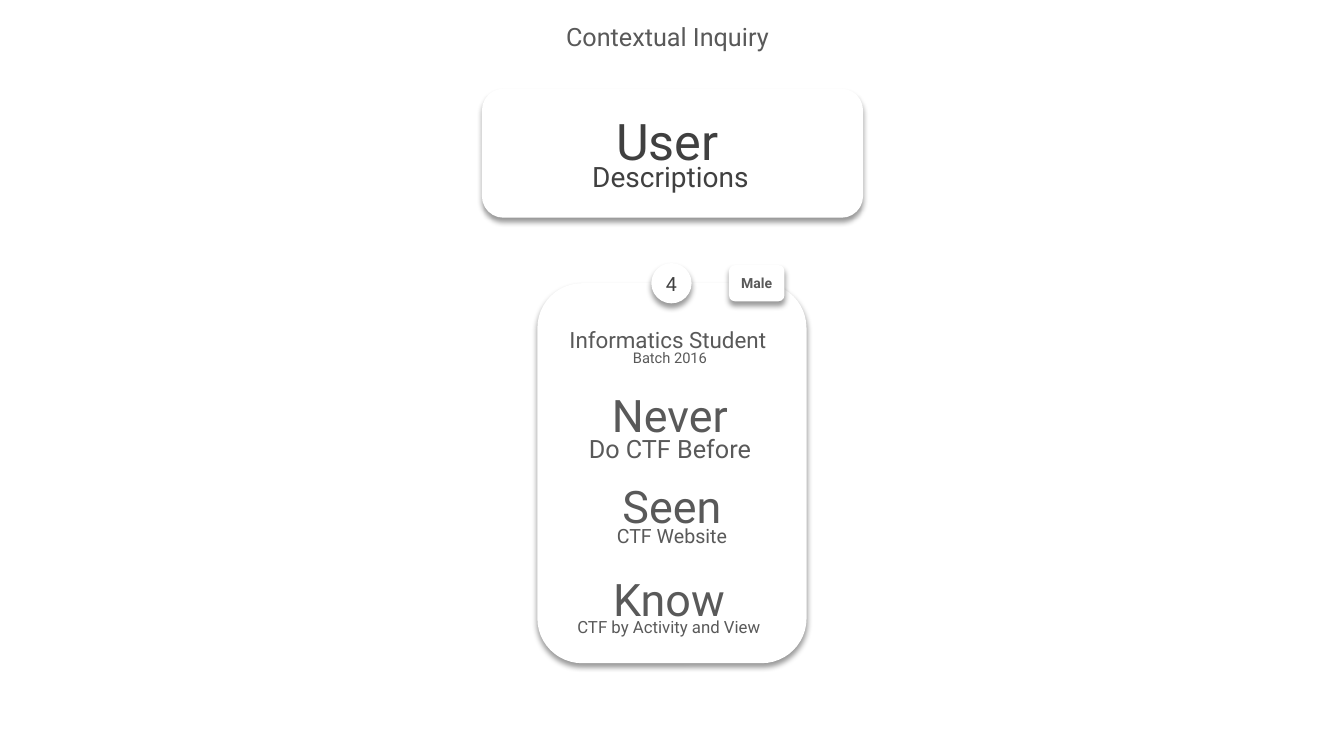
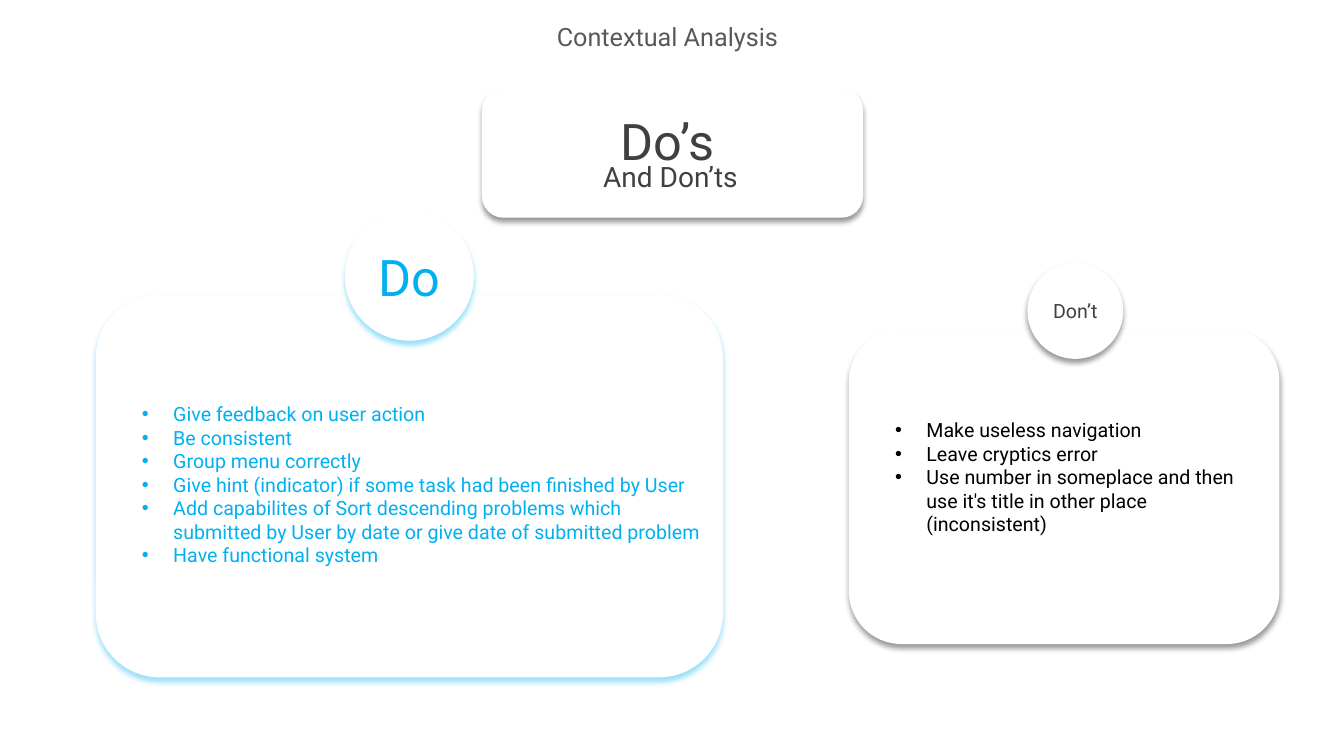
"""Build two slides on contextual inquiry and contextual analysis."""
from lxml import etree
from pptx import Presentation
from pptx.dml.color import RGBColor
from pptx.enum import shapes, text
from pptx.oxml import ns
from pptx.util import Inches, Pt

FONT = "Roboto"
WHITE = RGBColor(0xFF, 0xFF, 0xFF)
BLACK = RGBColor(0x00, 0x00, 0x00)
DARK = RGBColor(0x40, 0x40, 0x40)
GRAY = RGBColor(0x59, 0x59, 0x59)
BLUE = RGBColor(0x00, 0xB0, 0xF0)
ROUNDED = shapes.MSO_SHAPE.ROUNDED_RECTANGLE
CIRCLE = shapes.MSO_SHAPE.OVAL
CENTER = text.PP_ALIGN.CENTER
LEFT = text.PP_ALIGN.LEFT
BULLET_INDENT = Inches(0.31)


def style_paragraph(paragraph, size, color, align=CENTER, bold=False):
    paragraph.alignment = align
    font = paragraph.font
    font.name, font.size, font.bold = FONT, Pt(size), bold
    font.color.rgb = color


def add_shadow(shape, color):
    shape.shadow.inherit = False
    effects = shape.element.spPr.find(ns.qn("a:effectLst"))
    shadow = etree.SubElement(
        effects, ns.qn("a:outerShdw"), blurRad=str(Pt(4)), dist=str(Pt(3)),
        dir="5400000", algn="t", rotWithShape="0")
    tint = etree.SubElement(shadow, ns.qn("a:srgbClr"), val=str(color))
    etree.SubElement(tint, ns.qn("a:alpha"), val="40000")


def add_card(slide, box, kind=ROUNDED, shadow=BLACK):
    card = slide.shapes.add_shape(kind, *map(Inches, box))
    card.fill.solid()
    card.fill.fore_color.rgb = WHITE
    card.line.fill.background()
    add_shadow(card, shadow)
    return card


def add_badge(slide, box, label, size, color, kind=CIRCLE, shadow=BLACK, bold=False):
    frame = add_card(slide, box, kind, shadow).text_frame
    frame.word_wrap = False
    frame.vertical_anchor = text.MSO_ANCHOR.MIDDLE
    frame.text = label
    style_paragraph(frame.paragraphs[0], size, color, bold=bold)


def add_text_frame(slide, box):
    frame = slide.shapes.add_textbox(*map(Inches, box)).text_frame
    frame.word_wrap = True
    frame.auto_size = text.MSO_AUTO_SIZE.SHAPE_TO_FIT_TEXT
    return frame


def add_label(slide, box, label, size, color=GRAY, align=CENTER):
    frame = add_text_frame(slide, box)
    frame.text = label
    style_paragraph(frame.paragraphs[0], size, color, align)


def add_bullets(slide, box, items, color):
    frame = add_text_frame(slide, box)
    frame.text = "\n".join(items)
    for paragraph in frame.paragraphs:
        properties = paragraph._p.get_or_add_pPr()
        properties.set("marL", str(BULLET_INDENT))
        properties.set("indent", str(-BULLET_INDENT))
        etree.SubElement(properties, ns.qn("a:buFont"), typeface="Arial")
        etree.SubElement(properties, ns.qn("a:buChar"), char="•")
        style_paragraph(paragraph, 14, color, LEFT)


def add_titled_slide(deck, section, headline, subline):
    slide = deck.slides.add_slide(deck.slide_layouts[6])
    add_card(slide, (4.78, 0.88, 3.78, 1.28))
    add_label(slide, (4.96, 0.16, 3.32, 0.4), section, 18)
    add_label(slide, (4.73, 1.04, 3.78, 0.71), headline, 36, DARK)
    add_label(slide, (4.76, 1.53, 3.78, 0.44), subline, 20, DARK)
    return slide


def build_inquiry(deck):
    slide = add_titled_slide(deck, "Contextual Inquiry", "User", "Descriptions")
    add_card(slide, (5.33, 2.81, 2.67, 3.77))
    add_badge(slide, (6.46, 2.61, 0.4, 0.4), "4", 14, DARK)
    add_badge(slide, (7.23, 2.63, 0.55, 0.36), "Male", 10, GRAY, ROUNDED, bold=True)
    add_label(slide, (5.55, 3.19, 2.23, 0.37), "Informatics Student", 16, align=LEFT)
    add_label(slide, (5.53, 3.41, 2.23, 0.29), "Batch 2016", 10.5)
    findings = [
        (5.53, 3.8, "Never", "Do CTF Before", 18, 0.4),
        (5.55, 4.7, "Seen", "CTF Website", 14, 0.34),
        (5.52, 5.62, "Know", "CTF by Activity and View", 12, 0.3),
    ]
    for left, top, verb, detail, size, height in findings:
        add_label(slide, (left, top, 2.23, 0.64), verb, 32)
        add_label(slide, (left, top + 0.45, 2.23, height), detail, size)


def build_analysis(deck):
    slide = add_titled_slide(deck, "Contextual Analysis", "Do’s", "And Don’ts")
    add_card(slide, (8.42, 3.26, 4.27, 3.13))
    add_card(slide, (0.95, 2.92, 6.22, 3.8), shadow=BLUE)
    add_badge(slide, (10.19, 2.61, 0.95, 0.95), "Don’t", 14, DARK)
    add_badge(slide, (3.42, 2.1, 1.28, 1.28), "Do", 36, BLUE, shadow=BLUE)
    add_bullets(slide, (1.31, 3.94, 5.85, 1.75), [
        "Give feedback on user action",
        "Be consistent",
        "Group menu correctly",
        "Give hint (indicator) if some task had been finished by User",
        "Add capabilites of Sort descending problems which submitted by User "
        "by date or give date of submitted problem",
        "Have functional system",
    ], BLUE)
    add_bullets(slide, (8.78, 4.1, 3.89, 1.28), [
        "Make useless navigation",
        "Leave cryptics error",
        "Use number in someplace and then use it's title in other place (inconsistent)",
    ], BLACK)


def main():
    deck = Presentation()
    deck.slide_width, deck.slide_height = Inches(13.33), Inches(7.5)
    build_inquiry(deck)
    build_analysis(deck)
    deck.save("out.pptx")


if __name__ == "__main__":
    main()
